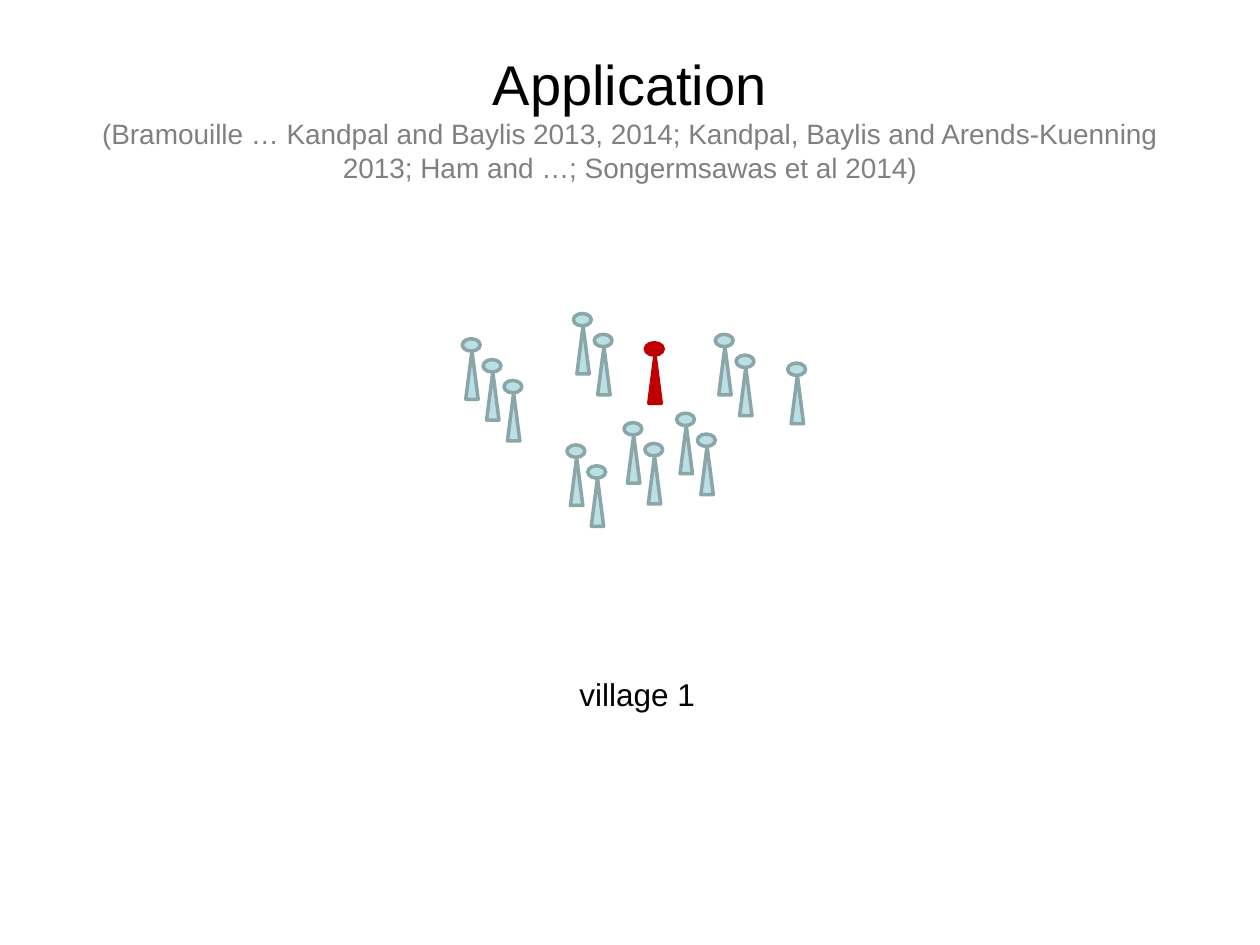
from dataclasses import dataclass

from lxml.etree import SubElement
from pptx import Presentation
from pptx.dml.color import RGBColor
from pptx.enum.shapes import MSO_SHAPE
from pptx.enum.text import MSO_ANCHOR, MSO_AUTO_SIZE, PP_ALIGN
from pptx.oxml.ns import qn
from pptx.slide import Slide
from pptx.util import Cm, Pt


@dataclass(frozen=True)
class Theme:
    font: str = "Arial"
    title_size: int = 32
    citation_size: int = 16
    label_size: int = 18
    ink: str = "000000"
    muted: str = "808080"
    villager_fill: str = "BBE0E3"
    villager_line: str = "8AA6A8"
    highlight: str = "C00000"
    line_width: int = 2


@dataclass(frozen=True)
class Household:
    left: float
    top: float
    members: int
    fill: str
    line: str


THEME = Theme()
MEMBER_STEP = 0.42
HEAD_WIDTH, HEAD_HEIGHT = 0.36, 0.25
BODY_WIDTH, BODY_HEIGHT = 0.25, 0.97


def villagers(left: float, top: float, members: int) -> Household:
    return Household(left, top, members, THEME.villager_fill, THEME.villager_line)


HOUSEHOLDS = [
    villagers(9.32, 6.83, 3),
    villagers(11.56, 6.32, 2),
    villagers(11.43, 8.97, 2),
    Household(13.01, 6.91, 1, THEME.highlight, THEME.highlight),
    villagers(12.58, 8.52, 2),
    villagers(13.64, 8.33, 2),
    villagers(14.42, 6.74, 2),
    villagers(15.88, 7.32, 1),
]


def style_span(span, size: int, color: str) -> None:
    span.font.name = THEME.font
    span.font.size = Pt(size)
    span.font.color.rgb = RGBColor.from_string(color)


def draw_title(page: Slide, heading: str, citation: str) -> None:
    box = page.shapes.title
    box.left, box.top, box.width, box.height = Cm(1.27), Cm(0.76), Cm(22.86), Cm(3.18)
    frame = box.text_frame
    frame.word_wrap = True
    frame.auto_size = MSO_AUTO_SIZE.NONE
    frame.vertical_anchor = MSO_ANCHOR.MIDDLE
    para = frame.paragraphs[0]
    para.text = "\n".join([heading, citation])
    para.alignment = PP_ALIGN.CENTER
    heading_span, citation_span = para.runs
    style_span(heading_span, THEME.title_size, THEME.ink)
    style_span(citation_span, THEME.citation_size, THEME.muted)
    line_break = para._p.find(qn("a:br"))
    SubElement(line_break, qn("a:rPr"), sz=str(THEME.title_size * 100))


def draw_label(page: Slide, text: str) -> None:
    box = page.shapes.add_textbox(Cm(11.43), Cm(13.49), Cm(2.95), Cm(1.02))
    frame = box.text_frame
    frame.word_wrap = True
    frame.auto_size = MSO_AUTO_SIZE.SHAPE_TO_FIT_TEXT
    frame.text = text
    style_span(frame.paragraphs[0].runs[0], THEME.label_size, THEME.ink)


def draw_part(page: Slide, kind: MSO_SHAPE, left: float, top: float,
              width: float, height: float, household: Household) -> None:
    part = page.shapes.add_shape(kind, Cm(left), Cm(top), Cm(width), Cm(height))
    part.shadow.inherit = False
    part.fill.solid()
    part.fill.fore_color.rgb = RGBColor.from_string(household.fill)
    part.line.color.rgb = RGBColor.from_string(household.line)
    part.line.width = Pt(THEME.line_width)


def draw_household(page: Slide, household: Household) -> None:
    for member in range(household.members):
        left = household.left + member * MEMBER_STEP
        top = household.top + member * MEMBER_STEP
        draw_part(page, MSO_SHAPE.OVAL, left, top, HEAD_WIDTH, HEAD_HEIGHT, household)
        draw_part(page, MSO_SHAPE.ISOSCELES_TRIANGLE, left + 0.07, top + HEAD_HEIGHT,
                  BODY_WIDTH, BODY_HEIGHT, household)


def main() -> None:
    deck = Presentation()
    deck.slide_width, deck.slide_height = Cm(25.4), Cm(19.05)
    page = deck.slides.add_slide(deck.slide_layouts.get_by_name("Title Only"))
    draw_title(
        page,
        "Application",
        "(Bramouille … Kandpal and Baylis 2013, 2014; Kandpal, Baylis and "
        "Arends-Kuenning 2013; Ham and …; Songermsawas et al 2014)",
    )
    draw_label(page, "village 1")
    for household in HOUSEHOLDS:
        draw_household(page, household)
    deck.save("out.pptx")


if __name__ == "__main__":
    main()
